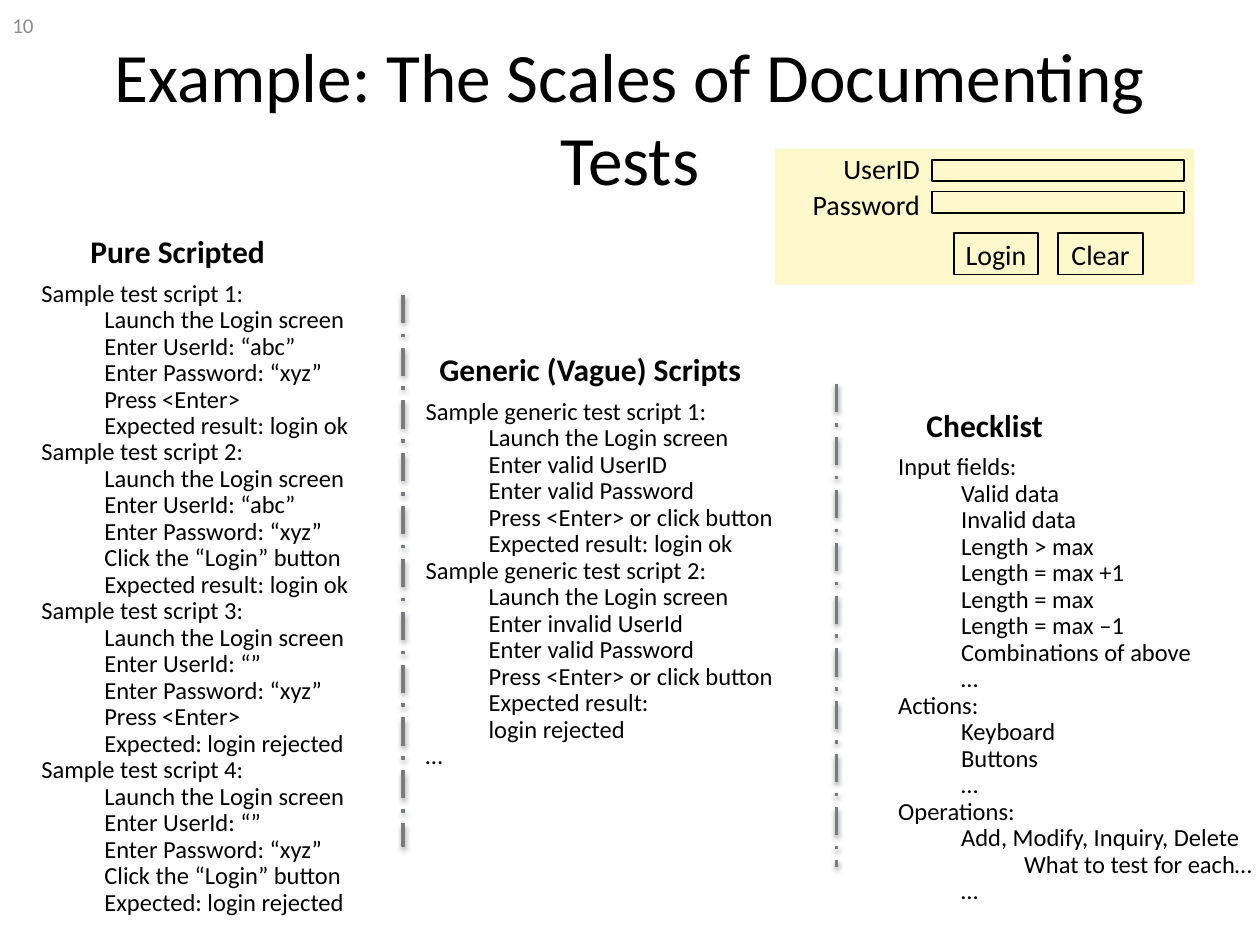
from copy import deepcopy

from lxml.etree import SubElement
from pptx import Presentation
from pptx.dml.color import RGBColor
from pptx.enum.dml import MSO_LINE
from pptx.enum.shapes import MSO_CONNECTOR, MSO_SHAPE
from pptx.enum.text import MSO_ANCHOR, MSO_AUTO_SIZE, PP_ALIGN
from pptx.oxml.ns import qn
from pptx.util import Inches, Pt

FONT = "Calibri"
BLACK = "000000"
INDENT = 0.5

# Lists: each leading tab is one level of indent
SCRIPT_VARIANTS = [
    ("abc", "Press <Enter>", "Expected result: login ok"),
    ("abc", "Click the “Login” button", "Expected result: login ok"),
    ("", "Press <Enter>", "Expected: login rejected"),
    ("", "Click the “Login” button", "Expected: login rejected"),
]
GENERIC_VARIANTS = [
    ("valid UserID", "Expected result: login ok"),
    ("invalid UserId", "Expected result: \vlogin rejected"),
]
CHECKLIST = [
    "Input fields:", "\tValid data", "\tInvalid data", "\tLength > max",
    "\tLength = max +1", "\tLength = max", "\tLength = max –1",
    "\tCombinations of above", "\t…",
    "Actions:", "\tKeyboard", "\tButtons", "\t…",
    "Operations:", "\tAdd, Modify, Inquiry, Delete",
    "\t\tWhat to test for each…", "\t…",
]


def color(value):
    return RGBColor.from_string(value)


def pure_scripts():
    lines = []
    for number, (user, action, result) in enumerate(SCRIPT_VARIANTS, 1):
        lines += [f"Sample test script {number}:", "\tLaunch the Login screen",
                  f"\tEnter UserId: “{user}”", "\tEnter Password: “xyz”",
                  f"\t{action}", f"\t{result}"]
    return lines


def generic_scripts():
    lines = []
    for number, (user, result) in enumerate(GENERIC_VARIANTS, 1):
        lines += [f"Sample generic test script {number}:", "\tLaunch the Login screen",
                  f"\tEnter {user}", "\tEnter valid Password",
                  "\tPress <Enter> or click button", f"\t{result}"]
    return lines + ["…"]


def write(box, lines, size=14, bold=False, fill=BLACK, align=PP_ALIGN.LEFT,
          anchor=MSO_ANCHOR.TOP, wrap=True, spacing=None, grow=False):
    """Fill a shape's text frame, one paragraph for each line."""
    frame = box.text_frame
    frame.word_wrap = wrap
    frame.vertical_anchor = anchor
    frame.auto_size = MSO_AUTO_SIZE.SHAPE_TO_FIT_TEXT if grow else MSO_AUTO_SIZE.NONE
    for index, line in enumerate(lines):
        para = frame.paragraphs[0] if index == 0 else frame.add_paragraph()
        text = line.lstrip("\t")
        para.text = text
        para.alignment = align
        para.line_spacing = spacing
        para.level = len(line) - len(text)
        if para.level:
            para._p.get_or_add_pPr().set("marL", str(Inches(INDENT * para.level)))
        for span in para.runs:
            span.font.name = FONT
            span.font.size = Pt(size)
            span.font.bold = bold
            span.font.color.rgb = color(fill)
        # A line break takes the format of the text before it
        for line_break in para._p.findall(qn("a:br")):
            line_break.append(deepcopy(para.runs[0]._r.rPr))


def add_text(shapes, place, lines, **style):
    box = shapes.add_textbox(*map(Inches, place))
    write(box, lines, **style)


def add_box(shapes, place, fill=None, alpha=100, line=None, label=None):
    box = shapes.add_shape(MSO_SHAPE.RECTANGLE, *map(Inches, place))
    box.shadow.inherit = False
    if fill:
        box.fill.solid()
        box.fill.fore_color.rgb = color(fill)
        tint = box._element.spPr.find(qn("a:solidFill"))[0]
        SubElement(tint, qn("a:alpha"), val=str(alpha * 1000))
    else:
        box.fill.background()
    if line:
        box.line.color.rgb = color(line)
        box.line.width = Pt(1)
    else:
        box.line.fill.background()
    if label:
        write(box, [label], size=16, align=PP_ALIGN.CENTER,
              anchor=MSO_ANCHOR.MIDDLE, wrap=False)


def add_divider(shapes, x, top, bottom):
    """Vertical dash-dot line with a soft shadow below it."""
    divider = shapes.add_connector(MSO_CONNECTOR.STRAIGHT, Inches(x), Inches(top),
                                   Inches(x), Inches(bottom))
    divider.line.color.rgb = color("777C84")
    divider.line.width = Pt(2)
    divider.line.dash_style = MSO_LINE.LONG_DASH_DOT
    effects = SubElement(divider._element.spPr, qn("a:effectLst"))
    shadow = SubElement(effects, qn("a:outerShdw"), blurRad=str(Pt(3.1)),
                        dist=str(Pt(1.6)), dir="5400000", rotWithShape="0")
    tint = SubElement(shadow, qn("a:srgbClr"), val=BLACK)
    SubElement(tint, qn("a:alpha"), val="38000")


def add_login_form(page):
    form = page.shapes.add_group_shape().shapes
    add_box(form, (6.15, 1.18, 3.33, 1.08), fill="FFF39D", alpha=50)
    for top in (1.27, 1.52):
        add_box(form, (7.4, top, 2, 0.17), line=BLACK)
    for left, label in ((7.57, "Login"), (8.4, "Clear")):
        add_box(form, (left, 1.85, 0.67, 0.33), line=BLACK, label=label)
    for top, label in ((1.15, "UserID"), (1.44, "Password")):
        add_text(form, (5.23, top, 2.17, 0.37), [label], size=16,
                 align=PP_ALIGN.RIGHT, grow=True)


def main():
    deck = Presentation()
    deck.slide_width, deck.slide_height = Inches(10), Inches(7.5)
    page = deck.slides.add_slide(deck.slide_layouts[5])

    # Title
    title = page.shapes.title
    title.left, title.top = Inches(0.5), Inches(0.3)
    title.width, title.height = Inches(9), Inches(1.25)
    write(title, ["Example: The Scales of Documenting Tests"], size=39.6,
          align=PP_ALIGN.CENTER, anchor=MSO_ANCHOR.MIDDLE)

    add_login_form(page)

    # Three columns: heading place, heading, list place, list
    columns = [
        ((0.47, 1.79, 1.88, 0.4), "Pure Scripted",
         (0.23, 2.18, 2.97, 5.19), pure_scripts()),
        ((3.28, 2.73, 2.81, 0.4), "Generic (Vague) Scripts",
         (3.28, 3.12, 3.2, 3.07), generic_scripts()),
        ((6.41, 3.17, 2.81, 0.4), "Checklist",
         (7.03, 3.56, 3.13, 3.71), CHECKLIST),
    ]
    for heading_place, heading, list_place, lines in columns:
        add_text(page.shapes, heading_place, [heading], size=18, bold=True,
                 align=PP_ALIGN.CENTER, grow=True)
        add_text(page.shapes, list_place, lines, spacing=0.9, grow=True)

    # Column dividers
    add_divider(page.shapes, 3.2, 2.34, 6.72)
    add_divider(page.shapes, 6.64, 3.05, 6.88)

    # Page number
    add_text(page.shapes, (0, 0, 2.33, 0.4), ["10"], size=12, fill="8C8C8C",
             anchor=MSO_ANCHOR.MIDDLE)

    deck.save("out.pptx")


if __name__ == "__main__":
    main()
